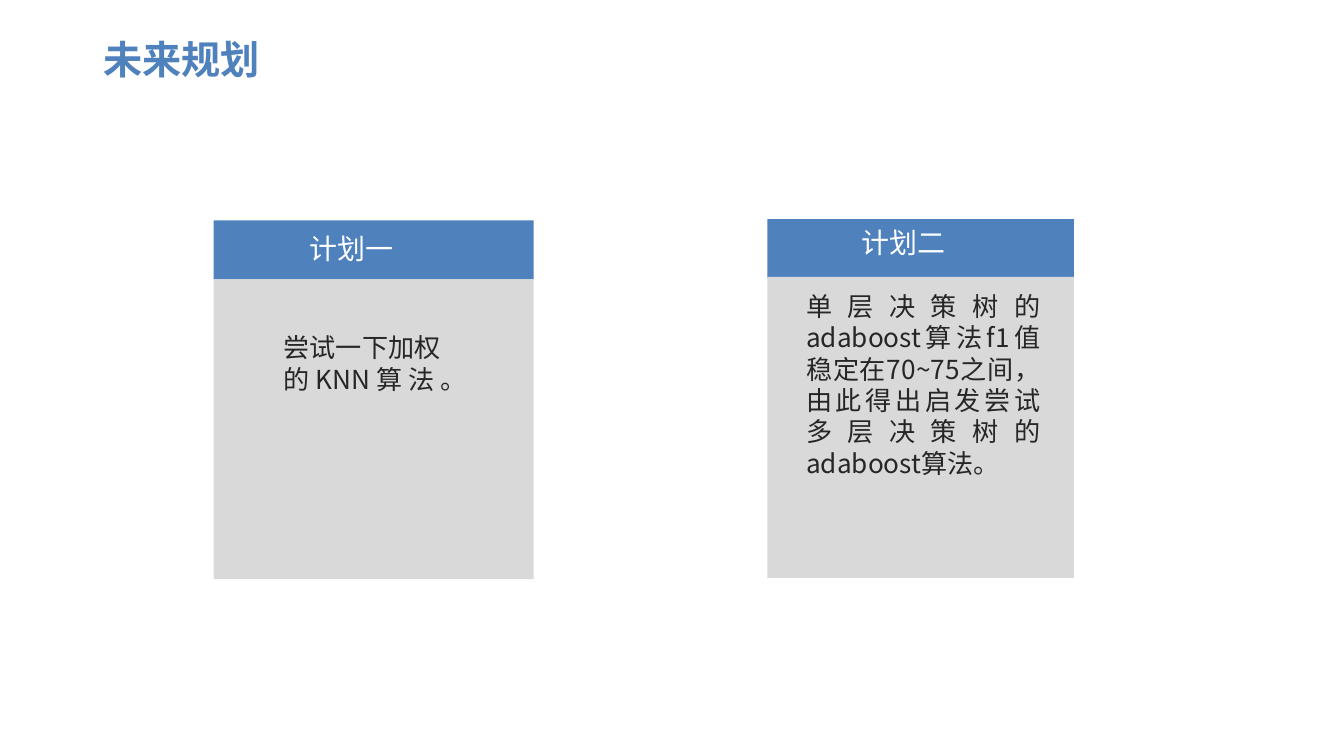
from dataclasses import dataclass

from pptx import Presentation
from pptx.dml.color import RGBColor
from pptx.enum.shapes import MSO_SHAPE
from pptx.enum.text import MSO_ANCHOR, PP_ALIGN
from pptx.oxml.ns import qn
from pptx.util import Inches, Pt

FONT = "Noto Sans CJK SC"
BLUE, GREY, DARK, WHITE = "4F81BD", "D9D9D9", "262626", "FFFFFF"
LINE_HEIGHT = 1.2

Box = tuple[float, float, float, float]


@dataclass
class Plan:
    heading: str
    detail: str
    header_box: Box
    panel_box: Box
    heading_box: Box
    detail_box: Box


PLANS = [
    Plan("计划一", "尝试一下加权的KNN算法。",
         (1.59, 1.64, 2.38, 0.44), (1.59, 2.08, 2.38, 2.23),
         (1.93, 1.67, 1.37, 0.35), (2.01, 2.42, 1.37, 0.57)),
    Plan("计划二",
         "单层决策树的adaboost算法f1值稳定在70~75之间，由此得出启发尝试多层决策树的adaboost算法。",
         (5.71, 1.63, 2.28, 0.44), (5.71, 2.06, 2.28, 2.24),
         (6.04, 1.63, 1.37, 0.35), (5.9, 2.11, 1.94, 1.51)),
]


def color(value: str) -> RGBColor:
    return RGBColor.from_string(value)


def add_block(shapes, box: Box, fill: str) -> None:
    block = shapes.add_shape(MSO_SHAPE.RECTANGLE, *map(Inches, box))
    block.shadow.inherit = False
    block.fill.solid()
    block.fill.fore_color.rgb = color(fill)
    block.line.fill.background()


def write(holder, text: str, size: float, ink: str,
          align: PP_ALIGN = PP_ALIGN.CENTER, bold: bool = False) -> None:
    frame = holder.text_frame
    frame_format = {
        "word_wrap": True, "vertical_anchor": MSO_ANCHOR.TOP,
        "margin_left": Inches(0.1), "margin_right": Inches(0.1),
        "margin_top": Inches(0.05), "margin_bottom": Inches(0.05),
    }
    for name, value in frame_format.items():
        setattr(frame, name, value)
    paragraph = frame.paragraphs[0]
    paragraph.alignment = align
    paragraph.line_spacing = Pt(size * LINE_HEIGHT)
    run = paragraph.add_run()
    run.text = text
    for name, value in {"name": FONT, "size": Pt(size), "bold": bold}.items():
        setattr(run.font, name, value)
    run.font.color.rgb = color(ink)
    east_asian = run.font._element.makeelement(qn("a:ea"), {"typeface": FONT})
    run.font._element.find(qn("a:latin")).addnext(east_asian)


def add_plan(slide, plan: Plan) -> None:
    card = slide.shapes.add_group_shape().shapes
    add_block(card, plan.header_box, BLUE)
    add_block(card, plan.panel_box, GREY)
    heading = slide.shapes.add_textbox(*map(Inches, plan.heading_box))
    write(heading, plan.heading, 15, WHITE)
    detail = slide.shapes.add_textbox(*map(Inches, plan.detail_box))
    write(detail, plan.detail, 14, DARK, PP_ALIGN.JUSTIFY)


def main() -> None:
    deck = Presentation()
    deck.slide_width = Inches(10)
    deck.slide_height = deck.slide_width * 9 // 16
    slide = deck.slides.add_slide(deck.slide_layouts[5])
    title = slide.shapes.title
    title.left, title.top, title.width, title.height = map(Inches, (0, 0.21, 2.7, 0.45))
    write(title, "未来规划", 21, BLUE, bold=True)
    for plan in PLANS:
        add_plan(slide, plan)
    deck.save("out.pptx")


if __name__ == "__main__":
    main()
